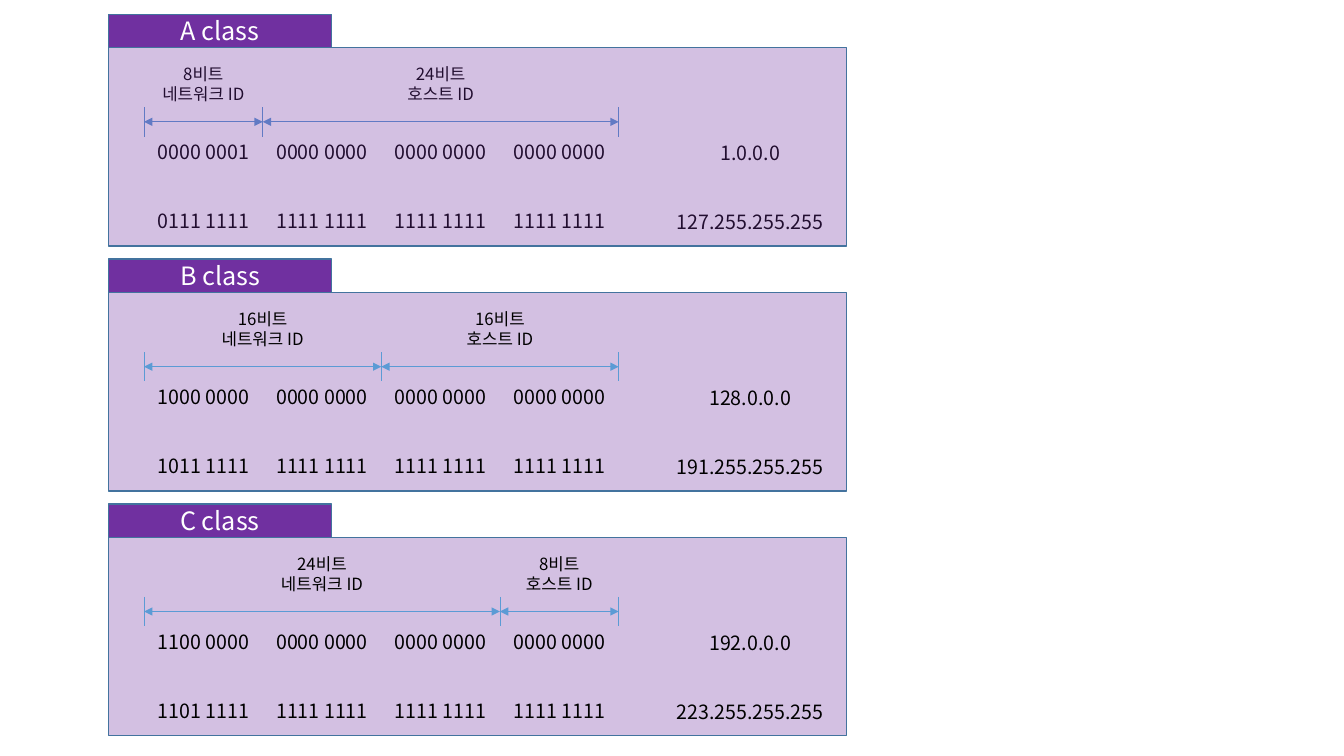
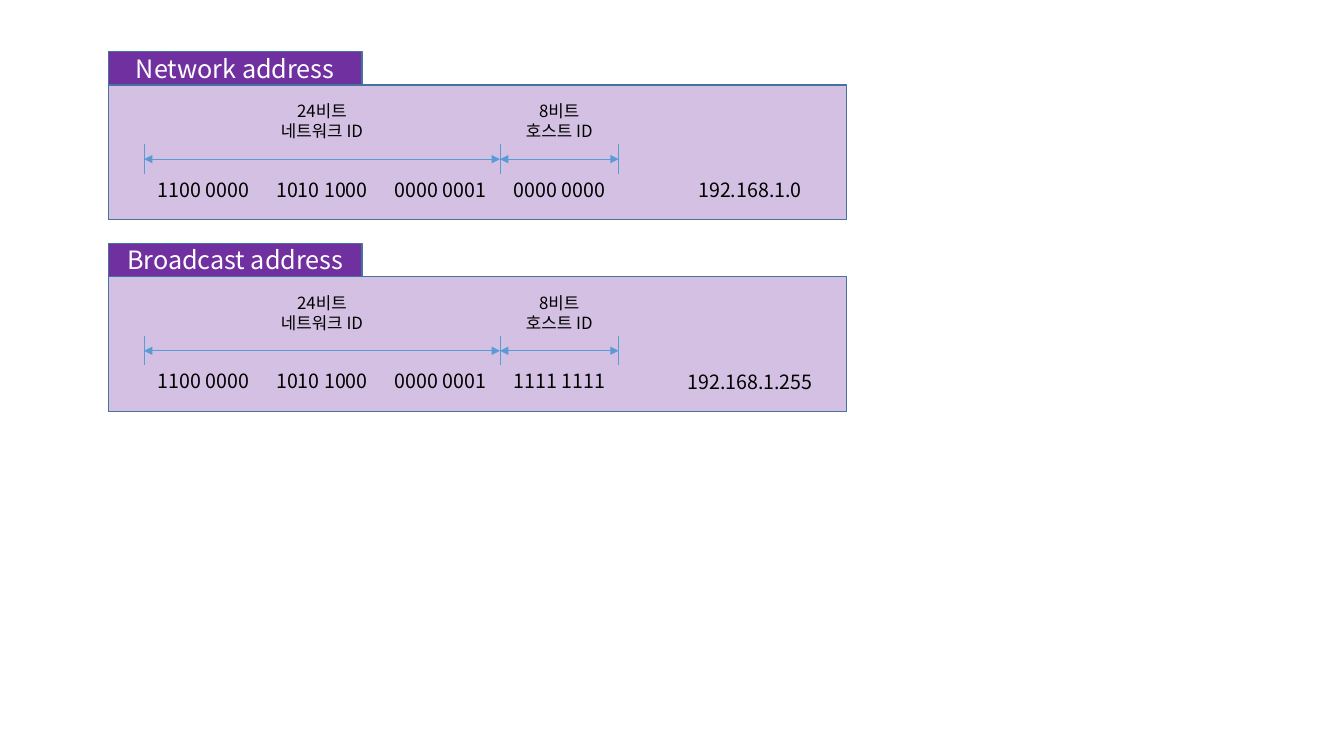
"""Build two slides that show how IPv4 addresses split into network and host bits."""
from dataclasses import dataclass

from lxml import etree
from pptx import Presentation
from pptx.dml.color import RGBColor
from pptx.enum.shapes import MSO_CONNECTOR, MSO_SHAPE
from pptx.enum.text import MSO_ANCHOR, MSO_AUTO_SIZE, PP_ALIGN
from pptx.oxml.ns import qn
from pptx.util import Cm, Pt

RECT = MSO_SHAPE.RECTANGLE
STRAIGHT = MSO_CONNECTOR.STRAIGHT
MIDDLE = MSO_ANCHOR.MIDDLE
CENTER = PP_ALIGN.CENTER
GROW = MSO_AUTO_SIZE.SHAPE_TO_FIT_TEXT


@dataclass(frozen=True)
class Theme:
    """Colours, font and sizes in points."""

    purple: RGBColor = RGBColor(0x70, 0x30, 0xA0)
    border: RGBColor = RGBColor(0x43, 0x73, 0x9E)
    measure: RGBColor = RGBColor(0x5B, 0x9B, 0xD5)
    black: RGBColor = RGBColor(0, 0, 0)
    white: RGBColor = RGBColor(255, 255, 255)
    font: str = "Noto Sans CJK KR"
    tab: int = 18
    bits: int = 14
    label: int = 12
    border_width: float = 1
    measure_width: float = 0.5
    body_alpha: int = 30


@dataclass(frozen=True)
class Panel:
    """One titled panel: bit rows, dotted addresses and network octet count."""

    title: str
    network_octets: int
    rows: tuple
    body_on_top: bool = False


THEME = Theme()
LEFT, WIDTH, TAB_HEIGHT = 2.74, 18.59, 0.84
OCTETS, OCTET_WIDTH, OCTET_LEFT = 4, 2.99, 0.89
ROW_TOP, ROW_PITCH, ROW_HEIGHT = 2.21, 1.74, 0.86
ADDRESS_LEFT, ADDRESS_WIDTH = 13.97, 4.39
LABEL_TOP, LABEL_HEIGHT = 0.28, 1.27
TICK_TOP, TICK_HEIGHT = 1.5, 0.74

CLASSES = (
    Panel("A class", 1, (("0000 0001|0000 0000|0000 0000|0000 0000", "1.0.0.0"),
                         ("0111 1111|1111 1111|1111 1111|1111 1111", "127.255.255.255")),
          body_on_top=True),
    Panel("B class", 2, (("1000 0000|0000 0000|0000 0000|0000 0000", "128.0.0.0"),
                         ("1011 1111|1111 1111|1111 1111|1111 1111", "191.255.255.255"))),
    Panel("C class", 3, (("1100 0000|0000 0000|0000 0000|0000 0000", "192.0.0.0"),
                         ("1101 1111|1111 1111|1111 1111|1111 1111", "223.255.255.255"))),
)
ADDRESSES = (
    Panel("Network address", 3,
          (("1100 0000|1010 1000|0000 0001|0000 0000", "192.168.1.0"),)),
    Panel("Broadcast address", 3,
          (("1100 0000|1010 1000|0000 0001|1111 1111", "192.168.1.255"),)),
)


def set_text(sp, text, size, color):
    """Fill a shape with centred text in the theme font."""
    tf = sp.text_frame
    tf.word_wrap = True
    tf.text = text
    for p in tf.paragraphs:
        p.alignment = CENTER
        for r in p.runs:
            r.font.size = Pt(size)
            r.font.name = THEME.font
            r.font.color.rgb = color
            etree.SubElement(r.font._element, qn("a:ea"), typeface=THEME.font)


def add_text(shapes, x, y, w, h, text, size):
    """Add a black text box that grows with its text."""
    sp = shapes.add_textbox(Cm(x), Cm(y), Cm(w), Cm(h))
    set_text(sp, text, size, THEME.black)
    sp.text_frame.auto_size = GROW


def add_box(shapes, x, y, w, h):
    """Add a purple bordered rectangle."""
    sp = shapes.add_shape(RECT, Cm(x), Cm(y), Cm(w), Cm(h))
    sp.shadow.inherit = False
    sp.fill.solid()
    sp.fill.fore_color.rgb = THEME.purple
    sp.line.color.rgb = THEME.border
    sp.line.width = Pt(THEME.border_width)
    return sp


def add_body(shapes, x, y, w, h):
    """Add the translucent body of a panel."""
    sp = add_box(shapes, x, y, w, h)
    color = sp.element.spPr.find(qn("a:solidFill"))[0]
    etree.SubElement(color, qn("a:alpha"), val=str(THEME.body_alpha * 1000))


def add_tab(shapes, x, y, w, title):
    """Add the title tab of a panel."""
    sp = add_box(shapes, x, y, w, TAB_HEIGHT)
    set_text(sp, title, THEME.tab, THEME.white)
    sp.text_frame.vertical_anchor = MIDDLE


def add_line(shapes, x1, y1, x2, y2, arrows=False):
    """Add a thin measuring line, with arrowheads at both ends if asked."""
    line = shapes.add_connector(STRAIGHT, Cm(x1), Cm(y1), Cm(x2), Cm(y2))
    line.line.color.rgb = THEME.measure
    line.line.width = Pt(THEME.measure_width)
    if arrows:
        for end in ("a:headEnd", "a:tailEnd"):
            etree.SubElement(line.line._get_or_add_ln(), qn(end), type="triangle")
    etree.SubElement(line.element.spPr, qn("a:effectLst"))


def add_rows(shapes, x, y, rows):
    """Add the octets and dotted address of each row inside a body."""
    for i, (bits, address) in enumerate(rows):
        top = y + ROW_TOP + i * ROW_PITCH
        for j, octet in enumerate(bits.split("|")):
            add_text(shapes, x + OCTET_LEFT + j * OCTET_WIDTH, top,
                     OCTET_WIDTH, ROW_HEIGHT, octet, THEME.bits)
        add_text(shapes, x + ADDRESS_LEFT, top + 0.02, ADDRESS_WIDTH, ROW_HEIGHT,
                 address, THEME.bits)


def add_measure(shapes, x, y, network_octets):
    """Add the ticks, arrows and labels that split network from host."""
    stops = (0, network_octets, OCTETS)
    edges = [x + OCTET_LEFT + n * OCTET_WIDTH for n in stops]
    top = y + TICK_TOP
    middle = top + TICK_HEIGHT / 2
    for edge in edges:
        add_line(shapes, edge, top, edge, top + TICK_HEIGHT)
    for i, name in enumerate(("네트워크 ID", "호스트 ID")):
        start, end = edges[i:i + 2]
        bits = 8 * (stops[i + 1] - stops[i])
        add_line(shapes, start, middle, end, middle, arrows=True)
        add_text(shapes, start, y + LABEL_TOP, end - start, LABEL_HEIGHT,
                 f"{bits}비트\n{name}", THEME.label)


def add_panel(slide, panel, x, y, body_height, tab_width):
    """Add one grouped panel with its top left corner at x, y."""
    shapes = slide.shapes.add_group_shape().shapes
    body = (shapes, x, y + TAB_HEIGHT, WIDTH, body_height)
    if not panel.body_on_top:
        add_body(*body)
    add_rows(shapes, x, y + TAB_HEIGHT, panel.rows)
    add_measure(shapes, x, y + TAB_HEIGHT, panel.network_octets)
    if panel.body_on_top:
        add_body(*body)
    add_tab(shapes, x, y, tab_width, panel.title)


def add_panel_slide(prs, panels, top, pitch, body_height, tab_width):
    """Add a slide with panels stacked at an equal pitch."""
    slide = prs.slides.add_slide(prs.slide_layouts.get_by_name("Blank"))
    for i, panel in enumerate(panels):
        add_panel(slide, panel, LEFT, top + i * pitch, body_height, tab_width)


def main():
    """Build and save the presentation."""
    prs = Presentation()
    prs.slide_width, prs.slide_height = Cm(33.87), Cm(19.05)
    add_panel_slide(prs, CLASSES, top=0.36, pitch=6.17, body_height=5, tab_width=5.61)
    add_panel_slide(prs, ADDRESSES, top=1.3, pitch=4.83, body_height=3.4, tab_width=6.38)
    prs.save("out.pptx")


if __name__ == "__main__":
    main()
